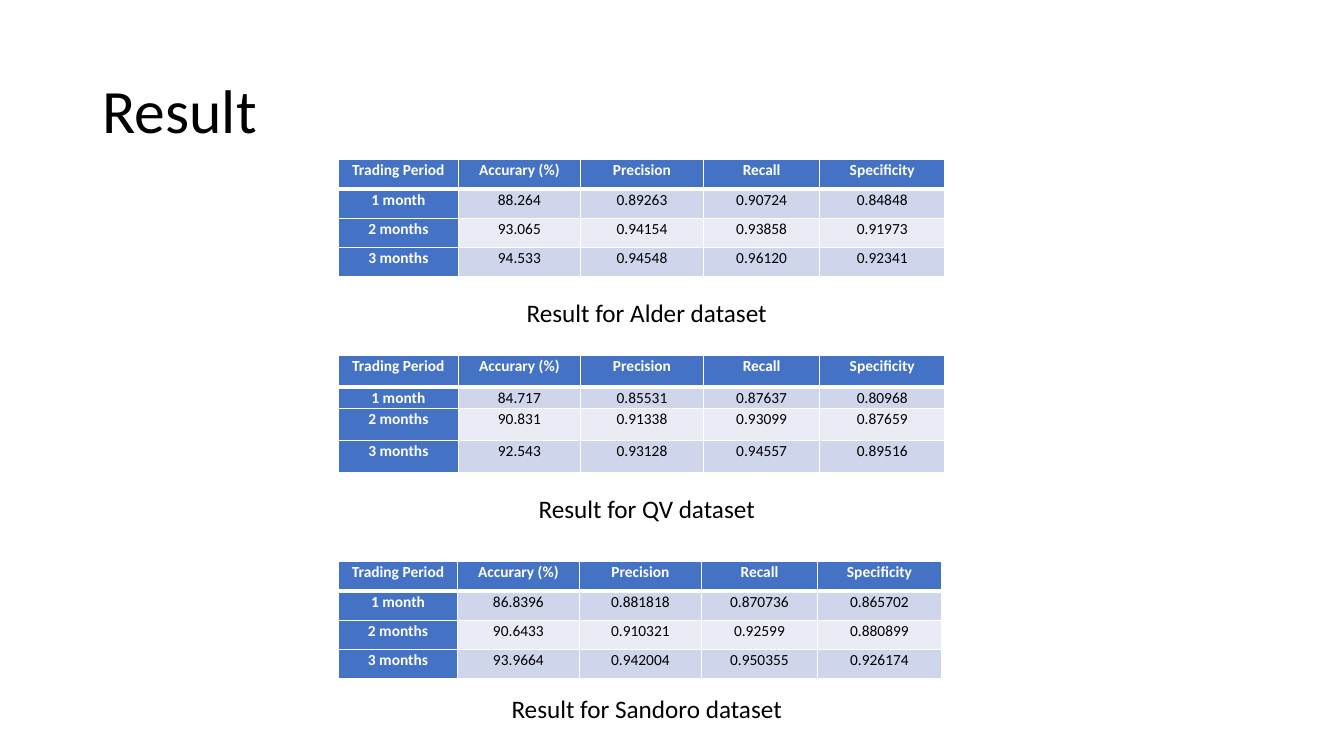
from lxml.etree import SubElement
from pptx import Presentation
from pptx.dml.color import RGBColor
from pptx.enum.text import MSO_ANCHOR, MSO_AUTO_SIZE, PP_ALIGN
from pptx.oxml.ns import qn
from pptx.util import Cm, Pt

THEME = {
    "font": "Calibri",
    "ink": "000000", "white": "FFFFFF", "head": "4472C4",
    "bands": ["CFD5EA", "E9EBF5"],
    "title": 44, "note": 18, "cell": 11,
}


def write(par, text, size, ink="ink", bold=False, **form):
    par.text = text
    for key, value in form.items():
        setattr(par, key, value)
    font = {"name": THEME["font"], "size": Pt(THEME[size]), "bold": bold}
    for key, value in font.items():
        setattr(par.runs[0].font, key, value)
    par.runs[0].font.color.rgb = RGBColor.from_string(THEME[ink])


def edge(cell, side, width):
    line = SubElement(cell._tc.get_or_add_tcPr(), qn("a:ln" + side), w=str(Pt(width)))
    fill = SubElement(line, qn("a:solidFill"))
    SubElement(fill, qn("a:srgbClr"), val=THEME["white"])


# Slide
deck = Presentation()
deck.slide_width, deck.slide_height = Cm(33.87), Cm(19.05)
slide = deck.slides.add_slide(deck.slide_layouts[5])

# Title
title = slide.shapes.title
place = {"left": Cm(2.33), "top": Cm(1.01), "width": Cm(29.21), "height": Cm(3.68)}
for key, value in place.items():
    setattr(title, key, value)
title.text_frame.vertical_anchor = MSO_ANCHOR.MIDDLE
write(title.text_frame.paragraphs[0], "Result", "title",
      alignment=PP_ALIGN.LEFT, line_spacing=0.9)

# Results: name, table top, caption top, column widths, row heights, values
heads = ["Trading Period", "Accurary (%)", "Precision", "Recall", "Specificity"]
spans = ["1 month", "2 months", "3 months"]
wide = [3.02, 3.08, 3.1, 2.93, 3.15]
even = [0.74] * 4
sets = [
    ("Alder", 4.02, 7.37, wide, even, [
        ["88.264", "0.89263", "0.90724", "0.84848"],
        ["93.065", "0.94154", "0.93858", "0.91973"],
        ["94.533", "0.94548", "0.96120", "0.92341"]]),
    ("QV", 8.95, 12.3, wide, [0.81, 0.53, 0.81, 0.81], [
        ["84.717", "0.85531", "0.87637", "0.80968"],
        ["90.831", "0.91338", "0.93099", "0.87659"],
        ["92.543", "0.93128", "0.94557", "0.89516"]]),
    ("Sandoro", 14.15, 17.35, [3, 3.07, 3.08, 2.92, 3.13], even, [
        ["86.8396", "0.881818", "0.870736", "0.865702"],
        ["90.6433", "0.910321", "0.92599", "0.880899"],
        ["93.9664", "0.942004", "0.950355", "0.926174"]]),
]
inset = {"margin_left": Cm(0.19), "margin_right": Cm(0.19),
         "margin_top": 0, "margin_bottom": 0}

for name, top, low, widths, heights, values in sets:
    # Table
    rows = [heads] + [[span] + line for span, line in zip(spans, values)]
    table = slide.shapes.add_table(len(rows), len(heads), Cm(8.53), Cm(top),
                                   Cm(sum(widths)), Cm(sum(heights))).table
    table.first_col = True
    for col, width in zip(table.columns, widths):
        col.width = Cm(width)
    for r, (row, height) in enumerate(zip(rows, heights)):
        table.rows[r].height = Cm(height)
        for c, text in enumerate(row):
            cell = table.cell(r, c)
            for key, value in inset.items():
                setattr(cell, key, value)
            for side in "LRTB":
                thick = (r, side) in [(0, "B"), (1, "T")]
                edge(cell, side, 3 if thick else 1)
            head = r == 0 or c == 0
            shade = THEME["head"] if head else THEME["bands"][(r - 1) % 2]
            cell.fill.solid()
            cell.fill.fore_color.rgb = RGBColor.from_string(shade)
            write(cell.text_frame.paragraphs[0], text, "cell",
                  "white" if head else "ink", head,
                  alignment=PP_ALIGN.CENTER, line_spacing=1.07)

    # Caption
    frame = slide.shapes.add_textbox(Cm(10.8), Cm(low), Cm(11), Cm(1.03)).text_frame
    frame.word_wrap = True
    frame.auto_size = MSO_AUTO_SIZE.SHAPE_TO_FIT_TEXT
    write(frame.paragraphs[0], f"Result for {name} dataset", "note",
          alignment=PP_ALIGN.CENTER)

deck.save("out.pptx")
